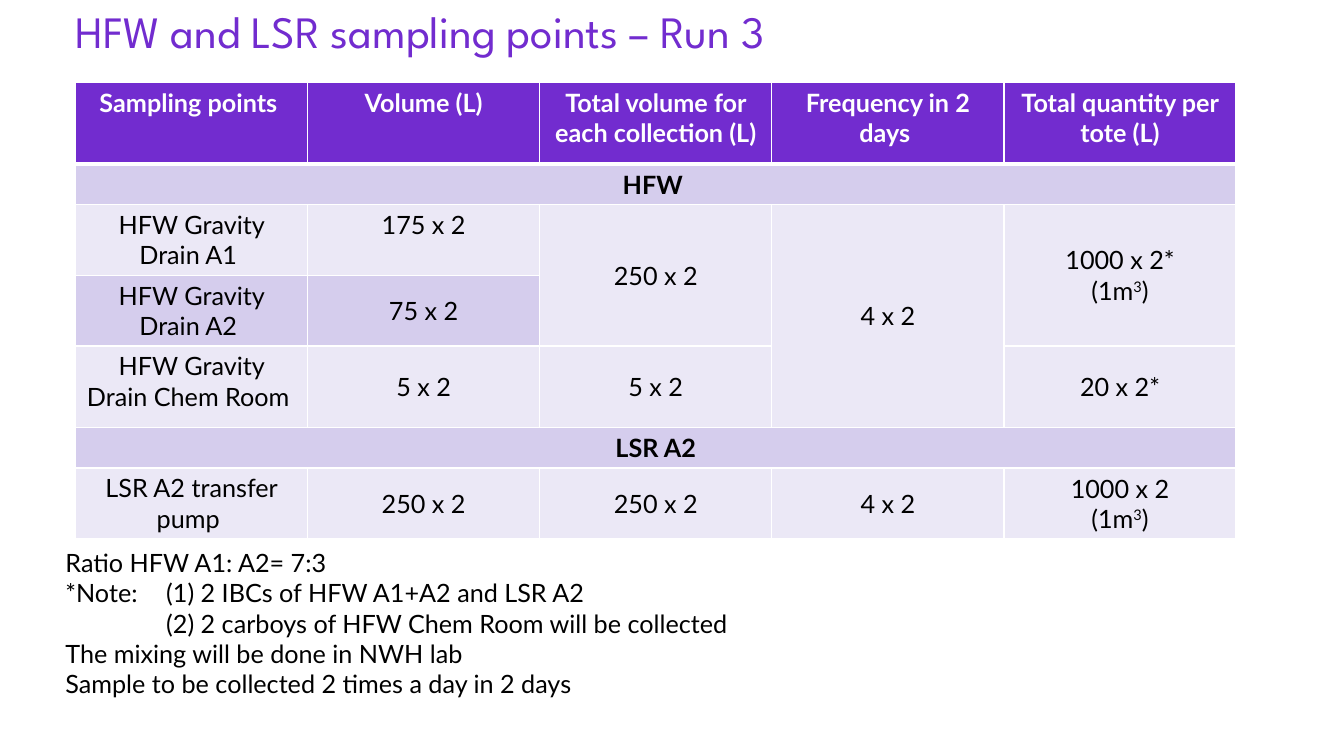
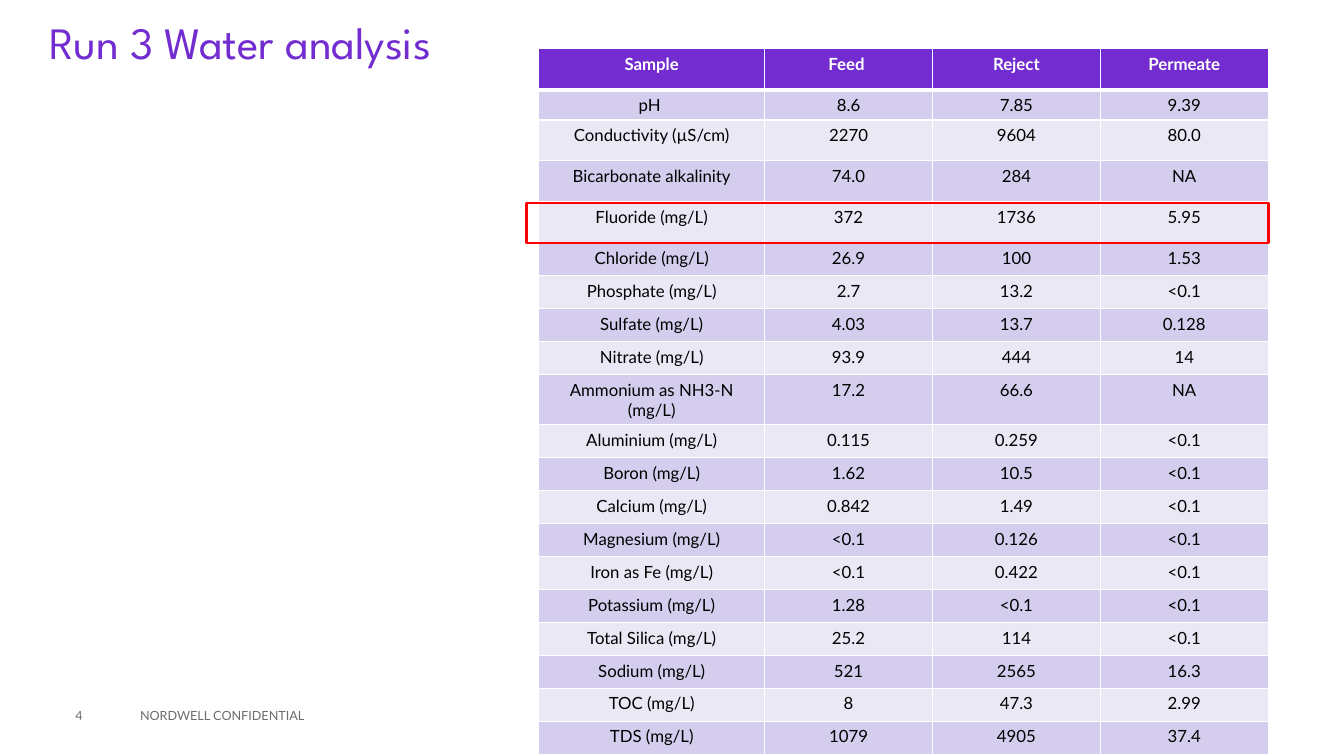
"""Build two slides on Run 3: sampling points and water analysis."""
from lxml.etree import SubElement
from pptx import Presentation
from pptx.dml.color import RGBColor
from pptx.enum.shapes import MSO_SHAPE
from pptx.enum.text import MSO_ANCHOR, PP_ALIGN
from pptx.oxml.ns import qn
from pptx.util import Cm, Pt

THEME = {
    "purple": RGBColor.from_string("722CCF"),
    "band": RGBColor.from_string("D5CDED"),
    "pale": RGBColor.from_string("EBE8F6"),
    "white": RGBColor.from_string("FFFFFF"),
    "black": RGBColor.from_string("000000"),
    "grey": RGBColor.from_string("6C6C6C"),
    "red": RGBColor.from_string("FF0000"),
    "title": {"name": "League Spartan", "size": Pt(32)},
    "body": {"name": "Lato", "size": Pt(18)},
    "data": {"name": "Lato", "size": Pt(12)},
    "footer": {"name": "Lato", "size": Pt(9)},
}


def write(tf, text, style, color, para=None, bold=False):
    """Write text: newline = paragraph, \\v = line break, ^ toggles superscript."""
    for i, block in enumerate(text.split("\n")):
        p = tf.add_paragraph() if i else tf.paragraphs[0]
        for key, value in (para or {}).items():
            setattr(p, key, value)
        if "\t" in block:
            tabs = SubElement(p._p.get_or_add_pPr(), qn("a:tabLst"))
            SubElement(tabs, qn("a:tab"), pos=str(Cm(2.54)), algn="l")
        for j, line in enumerate(block.split("\v")):
            if j:
                p.add_line_break()
            for k, piece in enumerate(line.split("^")):
                r = p.add_run()
                r.text = piece
                for key, value in THEME[style].items():
                    setattr(r.font, key, value)
                r.font.bold = bold
                r.font.color.rgb = THEME[color]
                if k % 2:
                    r.font._element.set("baseline", "30000")


def add_grid(s, left, top, widths, heights, rows, style, merges=(), middle=False):
    """Add a banded table whose one-item rows are bold section headings."""
    tbl = s.shapes.add_table(len(rows), len(widths), Cm(left), Cm(top),
                             Cm(sum(widths)), Cm(sum(heights))).table
    tbl.first_row = tbl.horz_banding = False
    for col, width in zip(tbl.columns, widths):
        col.width = Cm(width)
    for i, (row, height) in enumerate(zip(rows, heights)):
        tbl.rows[i].height = Cm(height)
        for j in range(len(widths)):
            cell = tbl.cell(i, j)
            tcPr = cell._tc.get_or_add_tcPr()
            for side in "LRTB":
                thick = (i, side) in ((0, "B"), (1, "T"))
                ln = SubElement(tcPr, qn(f"a:ln{side}"), w=str(Pt(3 if thick else 1)))
                fill = SubElement(ln, qn("a:solidFill"))
                SubElement(fill, qn("a:srgbClr"), val=str(THEME["white"]))
            cell.fill.solid()
            cell.fill.fore_color.rgb = THEME["band" if i % 2 else "pale"] if i else THEME["purple"]
            if middle and i and j:
                cell.vertical_anchor = MSO_ANCHOR.MIDDLE
            if j < len(row) and row[j]:
                write(cell.text_frame, row[j], style, "black" if i else "white",
                      {"alignment": PP_ALIGN.CENTER}, i == 0 or len(row) == 1)
    for r1, c1, r2, c2 in merges:
        tbl.cell(r1, c1).merge(tbl.cell(r2, c2))
    return tbl


prs = Presentation()
prs.slide_width, prs.slide_height = Cm(33.87), Cm(19.05)
sampling, analysis = [prs.slides.add_slide(prs.slide_layouts[6]) for _ in range(2)]

NOTES = ("Ratio HFW A1: A2= 7:3\n"
         "*Note: \t(1) 2 IBCs of HFW A1+A2 and LSR A2 \v"
         "\t(2) 2 carboys of HFW Chem Room will be collected\n"
         "The mixing will be done in NWH lab\n"
         "Sample to be collected 2 times a day in 2 days")
TITLE = {"line_spacing": 0.9}
MID, TOP = MSO_ANCHOR.MIDDLE, MSO_ANCHOR.TOP

for s, box, text, style, color, para, inset, anchor in [
    (sampling, (1.9, 0, 30, 1.7), "HFW and LSR sampling points – Run 3", "title", "purple", TITLE, 0, MID),
    (sampling, (1.4, 13.67, 28, 5.64), NOTES, "body", "black", None, 0.25, TOP),
    (analysis, (1.24, 0.28, 30, 1.7), "Run 3 Water analysis", "title", "purple", TITLE, 0, MID),
    (analysis, (3.28, 17.53, 11.43, 1.02), "NORDWELL CONFIDENTIAL", "footer", "grey", None, 0.25, MID),
    (analysis, (1.9, 17.53, 1.37, 1.02), "4", "footer", "grey", None, 0, MID),
]:
    sp = s.shapes.add_textbox(*map(Cm, box))
    if text == NOTES:
        sp.fill.solid()
        sp.fill.fore_color.rgb = THEME["white"]
    tf = sp.text_frame
    for key, value in {"word_wrap": True, "margin_left": Cm(inset),
                       "vertical_anchor": anchor}.items():
        setattr(tf, key, value)
    write(tf, text, style, color, para)

points = [
    ["Sampling points ", "Volume (L)", "Total volume for each collection (L)",
     "Frequency in 2 days ", "Total quantity per tote (L)"],
    ["HFW "],
    ["HFW Gravity Drain A1 ", "175 x 2", "250 x 2", "4 x 2", "1000 x 2*\v(1m^3^)"],
    ["HFW Gravity Drain A2 ", "75 x 2"],
    ["HFW Gravity Drain Chem Room ", "5 x 2", "5 x 2", None, "20 x 2*"],
    ["LSR A2"],
    ["LSR A2 transfer pump ", "250 x 2", "250 x 2", "4 x 2", "1000 x 2\n(1m^3^)"],
]
tbl = add_grid(sampling, 1.9, 2.08, [5.85] * 5, [2.06, 1.01, 1.78, 1.78, 2.06, 1.01, 1.78],
               points, "body", middle=True,
               merges=[(1, 0, 1, 4), (2, 2, 3, 2), (2, 3, 4, 3), (2, 4, 3, 4), (5, 0, 5, 4)])
tbl.cell(2, 1).vertical_anchor = TOP

results = [
    ["Sample", "Feed ", "Reject", "Permeate"],
    ["pH ", "8.6", "7.85", "9.39"],
    ["Conductivity (µS/cm)", "2270", "9604", "80.0"],
    ["Bicarbonate alkalinity", "74.0", "284", "NA"],
    ["Fluoride (mg/L)", "372", "1736", "5.95"],
    ["Chloride (mg/L)", "26.9", "100", "1.53"],
    ["Phosphate (mg/L)", "2.7", "13.2", "<0.1"],
    ["Sulfate (mg/L)", "4.03", "13.7", "0.128"],
    ["Nitrate (mg/L)", "93.9", "444", "14"],
    ["Ammonium as NH3-N (mg/L)", "17.2", "66.6", "NA"],
    ["Aluminium (mg/L)", "0.115", "0.259", "<0.1"],
    ["Boron (mg/L)", "1.62", "10.5", "<0.1"],
    ["Calcium (mg/L)", "0.842", "1.49", "<0.1"],
    ["Magnesium (mg/L)", "<0.1", "0.126", "<0.1"],
    ["Iron as Fe (mg/L)", "<0.1", "0.422", "<0.1"],
    ["Potassium (mg/L)", "1.28", "<0.1", "<0.1"],
    ["Total Silica (mg/L)", "25.2", "114", "<0.1"],
    ["Sodium (mg/L)", "521", "2565", "16.3"],
    ["TOC (mg/L)", "8", "47.3", "2.99"],
    ["TDS (mg/L)", "1079", "4905", "37.4"],
]
add_grid(analysis, 13.58, 1.23, [5.69] + [4.23] * 3,
         [1.03, 0.75] + [1.03] * 3 + [0.83] * 4 + [1.25] + [0.83] * 10, results, "data")

sp = analysis.shapes.add_shape(MSO_SHAPE.RECTANGLE, Cm(13.27), Cm(5.11), Cm(18.7), Cm(1.02))
sp.shadow.inherit = False
sp.fill.background()
sp.line.color.rgb = THEME["red"]
sp.line.width = Pt(1.5)

prs.save("out.pptx")
